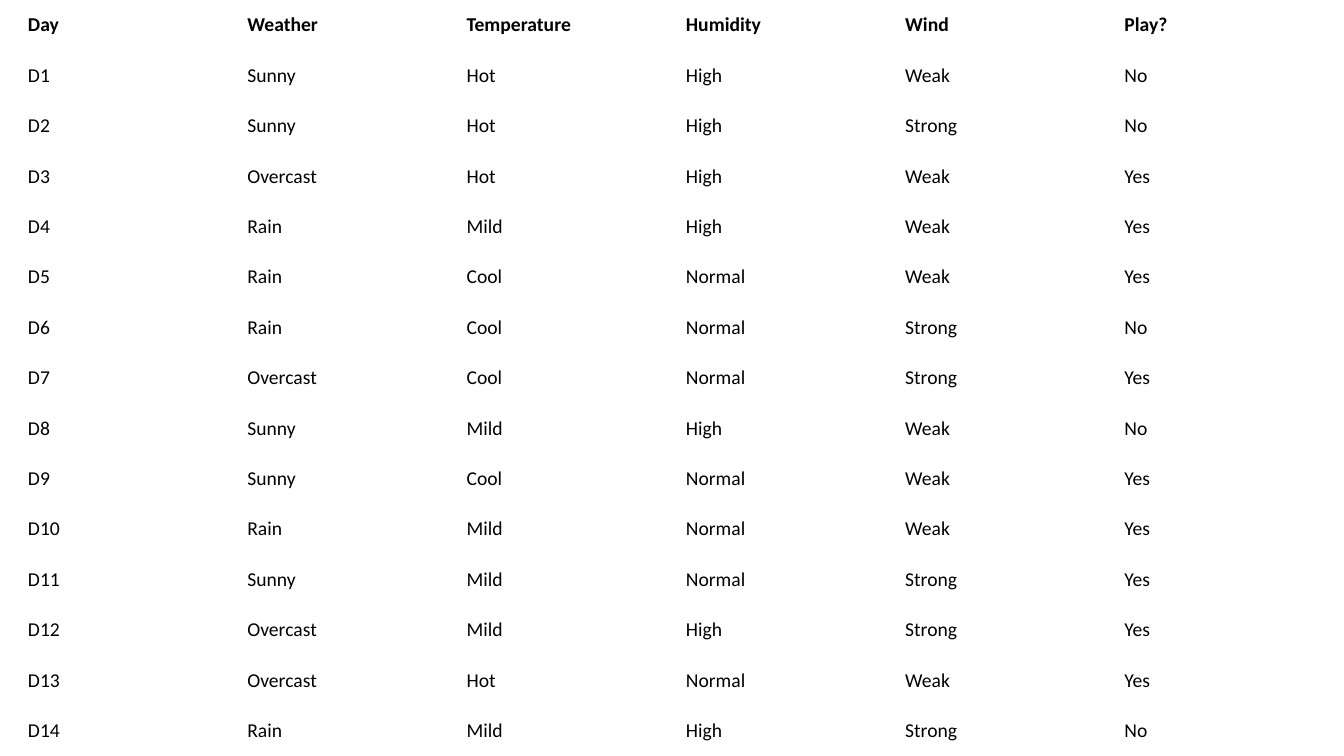
import pptx
import pptx.dml.color
import pptx.enum.text
import pptx.util

EMU_PER_PX = 914400 / 100.8
SLIDE_WIDTH, SLIDE_HEIGHT = 1344, 756
TABLE_LEFT, TABLE_WIDTH = 20, 1316
INSET_X, INSET_Y = 8, 4
FONT = "Calibri"
BLACK, WHITE = "000000", "FFFFFF"

HEADER = ["Day", "Weather", "Temperature", "Humidity", "Wind", "Play?"]
OBSERVATIONS = [
    ["Sunny", "Hot", "High", "Weak", "No"],
    ["Sunny", "Hot", "High", "Strong", "No"],
    ["Overcast", "Hot", "High", "Weak", "Yes"],
    ["Rain", "Mild", "High", "Weak", "Yes"],
    ["Rain", "Cool", "Normal", "Weak", "Yes"],
    ["Rain", "Cool", "Normal", "Strong", "No"],
    ["Overcast", "Cool", "Normal", "Strong", "Yes"],
    ["Sunny", "Mild", "High", "Weak", "No"],
    ["Sunny", "Cool", "Normal", "Weak", "Yes"],
    ["Rain", "Mild", "Normal", "Weak", "Yes"],
    ["Sunny", "Mild", "Normal", "Strong", "Yes"],
    ["Overcast", "Mild", "High", "Strong", "Yes"],
    ["Overcast", "Hot", "Normal", "Weak", "Yes"],
    ["Rain", "Mild", "High", "Strong", "No"],
]


def px(length):
    return pptx.util.Emu(round(length * EMU_PER_PX))


def color(hex_code):
    return pptx.dml.color.RGBColor.from_string(hex_code)


def fill_cell(cell, text, bold):
    cell.fill.solid()
    cell.fill.fore_color.rgb = color(WHITE)
    cell.vertical_anchor = pptx.enum.text.MSO_ANCHOR.MIDDLE
    cell.margin_left = cell.margin_right = px(INSET_X)
    cell.margin_top = cell.margin_bottom = px(INSET_Y)
    cell.text_frame.text = text
    font = cell.text_frame.paragraphs[0].runs[0].font
    font.name = FONT
    font.size = pptx.util.Pt(14)
    font.bold = bold
    font.color.rgb = color(BLACK)


def add_plain_table(page, rows, left, top, width, height):
    """Add an evenly divided, unbanded table whose first row is bold."""
    frame = page.shapes.add_table(len(rows), len(rows[0]),
                                  px(left), px(top), px(width), px(height))
    table = frame.table
    table.horz_banding = False
    for row_index, row in enumerate(rows):
        for column_index, text in enumerate(row):
            fill_cell(table.cell(row_index, column_index), text, row_index == 0)


def main():
    deck = pptx.Presentation()
    deck.slide_width, deck.slide_height = px(SLIDE_WIDTH), px(SLIDE_HEIGHT)
    page = deck.slides.add_slide(deck.slide_layouts[6])
    days = [[f"D{number}", *values]
            for number, values in enumerate(OBSERVATIONS, start=1)]
    add_plain_table(page, [HEADER, *days],
                    TABLE_LEFT, 0, TABLE_WIDTH, SLIDE_HEIGHT)
    deck.save("out.pptx")


if __name__ == "__main__":
    main()
